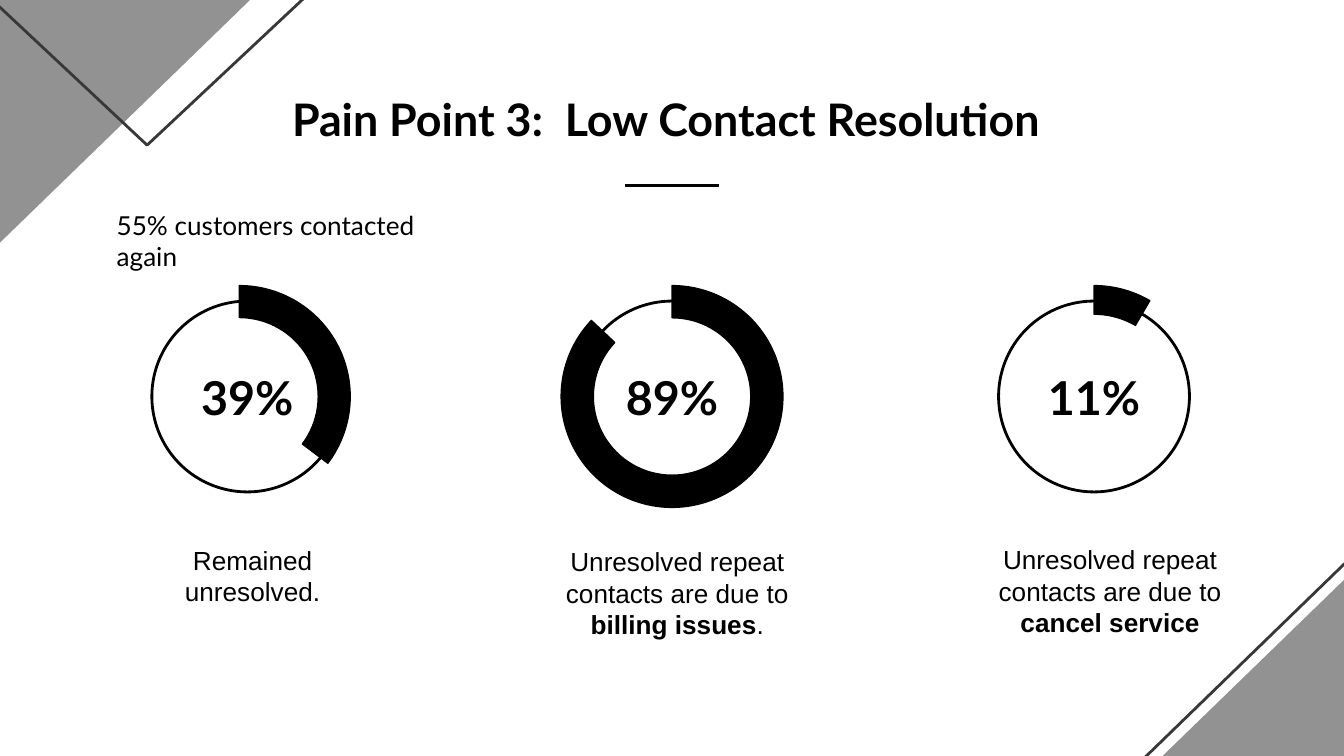
from pptx import Presentation
from pptx.dml.color import RGBColor
from pptx.enum.shapes import MSO_CONNECTOR as Link, MSO_SHAPE as Kind
from pptx.enum.text import MSO_ANCHOR as Anchor, MSO_AUTO_SIZE as Fit, PP_ALIGN as Align
from pptx.oxml import parse_xml
from pptx.oxml.ns import nsdecls
from pptx.util import Inches, Pt

BLACK = RGBColor(0x00, 0x00, 0x00)
DARK = RGBColor(0x38, 0x38, 0x38)
GRAY = RGBColor(0x92, 0x92, 0x92)
WIDE = 10
HIGH = WIDE * 9 / 16

TITLE = "Pain Point 3:  Low Contact Resolution "
NOTE = "55% customers contacted again"
REPEAT = "Unresolved repeat contacts are due to "

# ring centre x, arc shift x, arc sweep in degrees, arc thickness,
# value, label runs (text, bold), label box
RINGS = [
    (1.84, -0.06, 127, 0.144, "39%", [("Remained unresolved.", False)],
     (0.83, 4.07, 2.1, 0.43)),
    (5, 0, 313.3, 0.145, "89%",
     [(REPEAT, False), ("billing issues", True), (".", False)],
     (3.99, 4.07, 2.1, 0.68)),
    (8.14, 0, 30.2, 0.129, "11%",
     [(REPEAT, False), ("cancel service", True)],
     (7.31, 3.9, 1.9, 0.99)),
]
RING_Y, RING, ARC = 2.95, 1.42, 1.65

# shape, box, rotation, fill, line
CORNERS = [
    (Kind.RIGHT_TRIANGLE, (7.68, 2.84, 3.72, 3.61), 0, None, DARK),
    (Kind.RIGHT_TRIANGLE, (7.8, 2.84, 3.72, 3.61), 0, GRAY, None),
    (Kind.RIGHT_TRIANGLE, (-0.83, -1, 3.72, 3.61), 180, GRAY, None),
    (Kind.ISOSCELES_TRIANGLE, (-1.84, -1.67, 5.87, 2.75), 180, None, DARK),
]


def inches(box):
    return [Inches(v) for v in box]


def around(x, y, wide, high):
    return x - wide / 2, y - high / 2, wide, high


def draw(shapes, kind, box, fill=None, line=None, width=1.5):
    shape = shapes.add_shape(kind, *inches(box))
    shape.shadow.inherit = False
    if fill is None:
        shape.fill.background()
    else:
        shape.fill.solid()
        shape.fill.fore_color.rgb = fill
    if line is None:
        shape.line.fill.background()
    else:
        shape.line.color.rgb = line
        shape.line.width = Pt(width)
    return shape


def write(slide, box, runs, size, font, align=Align.CENTER,
          anchor=Anchor.MIDDLE, inset=0.1):
    frame = slide.shapes.add_textbox(*inches(box)).text_frame
    frame.word_wrap = True
    frame.vertical_anchor = anchor
    frame.margin_top = frame.margin_bottom = Inches(inset)
    para = frame.paragraphs[0]
    para.alignment = align
    for text, bold in runs:
        run = para.add_run()
        run.text = text
        run.font.size = Pt(size)
        run.font.name = font
        run.font.bold = bold
        run.font.color.rgb = BLACK
    return frame


def add_ring(slide, x, shift, sweep, thick):
    """Thin circle with a thick arc that runs clockwise from the top."""
    group = slide.shapes.add_group_shape().shapes
    draw(group, Kind.OVAL, around(x, RING_Y, RING, RING), line=BLACK)
    arc = draw(group, Kind.BLOCK_ARC, around(x + shift, RING_Y, ARC, ARC),
               BLACK, BLACK, 0.75)
    arc.rotation = 90
    # angles are stored in 60000ths of a degree, scaled here by 100000
    for i, value in enumerate((180 * 0.6, (180 + sweep) % 360 * 0.6, thick)):
        arc.adjustments[i] = value


def main():
    deck = Presentation()
    deck.slide_width, deck.slide_height = Inches(WIDE), Inches(HIGH)
    slide = deck.slides.add_slide(deck.slide_layouts[6])

    for kind, box, turn, fill, line in CORNERS:
        shape = draw(slide.shapes, kind, box, fill, line)
        shape.rotation = turn
        shape._element.spPr.get_or_add_xfrm().set("flipH", "1")

    write(slide, (0.78, 0.58, 8.43, 0.58), [(TITLE, True)], 24, "Lato",
          anchor=Anchor.TOP)
    rule = slide.shapes.add_connector(
        Link.STRAIGHT, *inches((WIDE / 2 - 0.35, 1.38, WIDE / 2 + 0.35, 1.38)))
    rule.line.color.rgb = BLACK
    rule.line.width = Pt(1.5)
    rule._element.spPr.append(parse_xml(f"<a:effectLst {nsdecls('a')}/>"))

    for x, shift, sweep, thick, value, label, box in RINGS:
        add_ring(slide, x, shift, sweep, thick)
        write(slide, around(x, RING_Y, 1.24, 0.43), [(value, True)], 25, "Lato")
        write(slide, box, label, 14, "Arial")

    note = write(slide, (0.77, 1.51, 2.73, 0.34), [(NOTE, False)], 14, "Lato",
                 Align.LEFT, Anchor.TOP, 0.05)
    note.auto_size = Fit.SHAPE_TO_FIT_TEXT
    deck.save("out.pptx")


if __name__ == "__main__":
    main()
